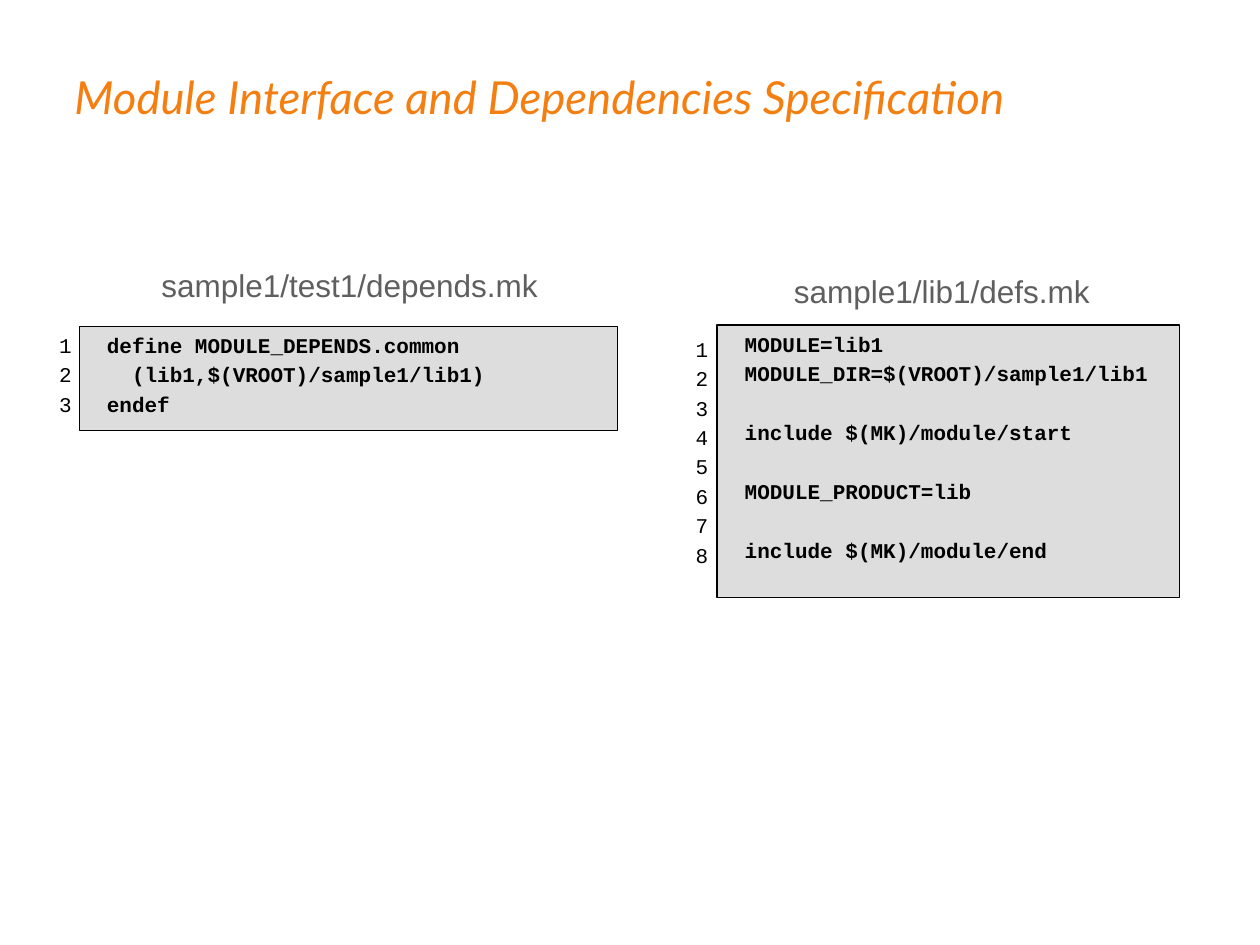
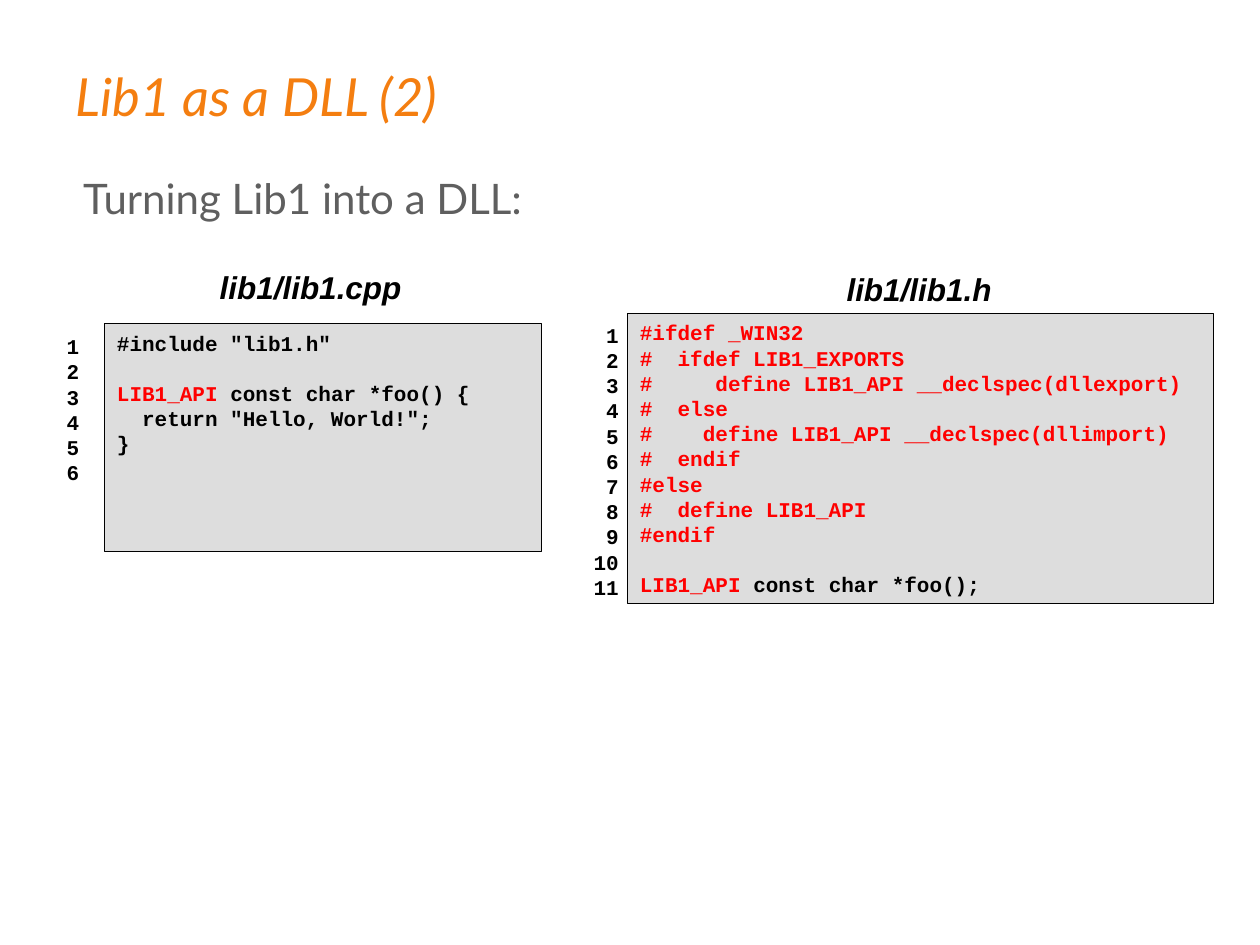
import pptx
import pptx.dml.color
import pptx.enum.shapes
import pptx.enum.text
import pptx.oxml
import pptx.oxml.ns
import pptx.text.text
import pptx.util

PX = 9144  # one hundredth of an inch, in EMU
ORANGE, GREY, BLACK, RED, CODE_FILL = "F47E10", "5F5F5F", "000000", "FF0000", "DDDDDD"
LEFT = pptx.enum.text.PP_ALIGN.LEFT
CENTER = pptx.enum.text.PP_ALIGN.CENTER
RIGHT = pptx.enum.text.PP_ALIGN.RIGHT
TOP = pptx.enum.text.MSO_ANCHOR.TOP
MIDDLE = pptx.enum.text.MSO_ANCHOR.MIDDLE
CODE_FORMAT = dict(font="Courier New", size=12, line_height=14.4)
SPACED_CODE = dict(CODE_FORMAT, indent=12, gap=2.4)
FILE_FORMAT = dict(font="Arial", size=18, align=CENTER, wrap=False)


def rgb(colour):
    return pptx.dml.color.RGBColor.from_string(colour)


def place(shape, box):
    shape.left, shape.top, shape.width, shape.height = (length * PX for length in box)
    return shape


def add_text_box(slide, box):
    return slide.shapes.add_textbox(*(length * PX for length in box))


def format_font(font, name, size, colour, bold, italic):
    font.name, font.size = name, pptx.util.Pt(size)
    font.bold, font.italic = bold, italic
    font.color.rgb = rgb(colour)


def write_text(shape, lines, font="Arial", size=18, colour=BLACK, bold=False,
               italic=False, align=LEFT, anchor=TOP, wrap=True, inset=10,
               indent=0, gap=0, line_height=None):
    """Write lines, each a string or a list of (text, colour) runs."""
    frame = shape.text_frame
    frame.auto_size = pptx.enum.text.MSO_AUTO_SIZE.NONE
    frame.word_wrap, frame.vertical_anchor = wrap, anchor
    frame.margin_left = frame.margin_right = inset * PX
    frame.margin_top = frame.margin_bottom = 5 * PX
    for index, line in enumerate(lines):
        paragraph = frame.add_paragraph() if index else frame.paragraphs[0]
        paragraph.alignment = align
        paragraph.space_before = pptx.util.Pt(gap if index else 0)
        if line_height:
            paragraph.line_spacing = pptx.util.Pt(line_height)
        properties = paragraph._p.get_or_add_pPr()
        properties.set("marL", str(indent * PX))
        properties.set("indent", "0")
        properties.append(pptx.oxml.parse_xml(
            f"<a:buNone {pptx.oxml.ns.nsdecls('a')}/>"))
        runs = [(line, colour)] if isinstance(line, str) else line
        for text, run_colour in runs:
            if text:
                run = paragraph.add_run()
                run.text = text
                run_font = run.font
            else:
                run_font = pptx.text.text.Font(paragraph._p.get_or_add_endParaRPr())
            format_font(run_font, font, size, run_colour, bold, italic)


def add_slide(presentation, title, title_box, title_size):
    slide = presentation.slides.add_slide(presentation.slide_layouts[1])
    write_text(place(slide.shapes.title, title_box), [title], font="Lato",
               size=title_size, colour=ORANGE, italic=True, anchor=MIDDLE)
    return slide


def add_code_box(slide, box, lines, code_format, shape=None):
    """Fill the given shape, or a new rectangle, with code."""
    if shape is None:
        shape = slide.shapes.add_shape(
            pptx.enum.shapes.MSO_SHAPE.RECTANGLE, 0, 0, PX, PX)
        shape.shadow.inherit = False
    place(shape, box)
    shape.fill.solid()
    shape.fill.fore_color.rgb = rgb(CODE_FILL)
    shape.line.color.rgb = rgb(BLACK)
    shape.line.width = pptx.util.Pt(0.75)
    write_text(shape, lines, bold=True, **code_format)


def add_line_numbers(slide, box, count, **text_format):
    numbers = [str(number) for number in range(1, count + 1)]
    write_text(add_text_box(slide, box), numbers, wrap=False, **text_format)


def add_file_name(slide, box, name, **text_format):
    write_text(add_text_box(slide, box), [name], **FILE_FORMAT, **text_format)


def build_dependencies_slide(presentation):
    slide = add_slide(presentation, "Module Interface and Dependencies Specification",
                      (49, 36, 900, 81), 26)
    depends_code = [
        "define MODULE_DEPENDS.common",
        "  (lib1,$(VROOT)/sample1/lib1)",
        "endef",
    ]
    defs_code = [
        "MODULE=lib1",
        "MODULE_DIR=$(VROOT)/sample1/lib1",
        "",
        "include $(MK)/module/start",
        "",
        "MODULE_PRODUCT=lib",
        "",
        "include $(MK)/module/end",
    ]
    listings = [
        ("sample1/test1/depends.mk", (118, 206, 319, 40), depends_code,
         (63, 259, 427, 83), (25, 259, 32, 86), None),
        ("sample1/lib1/defs.mk", (616, 211, 263, 40), defs_code,
         (569, 258, 367, 216), (530, 262, 32, 215), slide.placeholders[1]),
    ]
    for name, name_box, code, code_box, number_box, shape in listings:
        add_file_name(slide, name_box, name, colour=GREY)
        add_code_box(slide, code_box, code, SPACED_CODE, shape)
        add_line_numbers(slide, number_box, len(code), align=RIGHT, inset=0,
                         **SPACED_CODE)


def build_dll_slide(presentation):
    slide = add_slide(presentation, "Lib1 as a DLL (2)", (50, 13, 900, 125), 30)
    write_text(place(slide.placeholders[1], (51, 132, 900, 495)),
               ["Turning Lib1 into a DLL:"], font="Lato", size=24, colour=GREY, indent=5)
    source_code = [
        '#include "lib1.h"',
        "",
        [("LIB1_API", RED), (" const char *foo() {", BLACK)],
        '  return "Hello, World!";',
        "}",
    ]
    export_macros = [
        "#ifdef _WIN32",
        "#  ifdef LIB1_EXPORTS",
        "#     define LIB1_API __declspec(dllexport)",
        "#  else",
        "#    define LIB1_API __declspec(dllimport)",
        "#  endif",
        "#else",
        "#  define LIB1_API",
        "#endif",
    ]
    header_code = [[(macro, RED)] for macro in export_macros] + [
        "",
        [("LIB1_API", RED), (" const char *foo();", BLACK)],
    ]
    listings = [
        ("lib1/lib1.cpp", (164, 208, 165, 40), source_code,
         (83, 257, 347, 181), (43, 260, 40, 130), 6, LEFT),
        ("lib1/lib1.h", (662, 209, 135, 40), header_code,
         (498, 249, 465, 230), (461, 251, 40, 230), 11, RIGHT),
    ]
    for name, name_box, code, code_box, number_box, count, align in listings:
        add_file_name(slide, name_box, name, bold=True, italic=True)
        add_code_box(slide, code_box, code, CODE_FORMAT)
        add_line_numbers(slide, number_box, count, bold=True, align=align, **CODE_FORMAT)


def main():
    presentation = pptx.Presentation()
    presentation.slide_width, presentation.slide_height = 1000 * PX, 750 * PX
    build_dependencies_slide(presentation)
    build_dll_slide(presentation)
    presentation.save("out.pptx")


if __name__ == "__main__":
    main()
